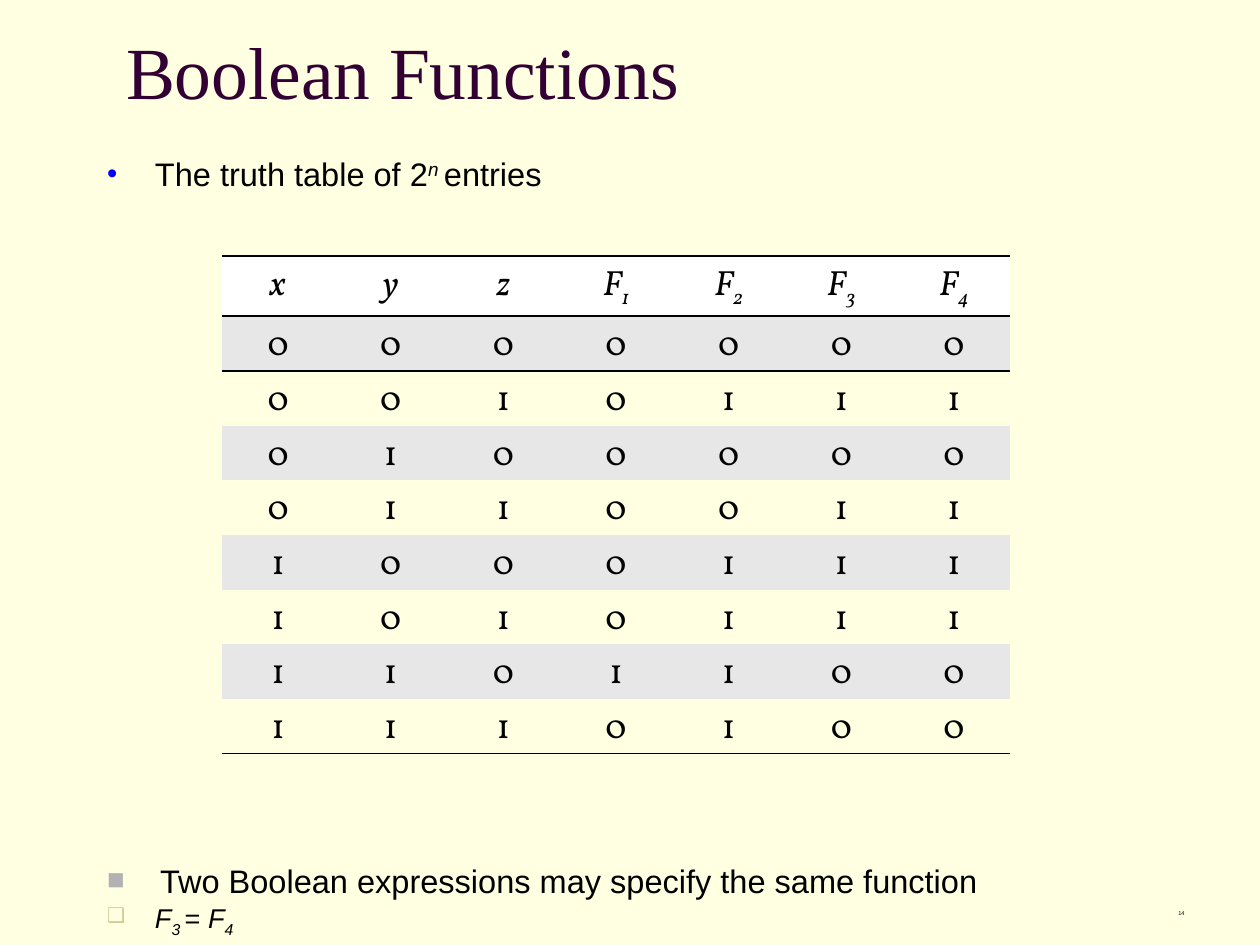
from lxml.etree import SubElement
from pptx import Presentation
from pptx.dml.color import RGBColor
from pptx.enum.text import MSO_ANCHOR, MSO_AUTO_SIZE, PP_ALIGN
from pptx.oxml.ns import qn
from pptx.util import Inches, Pt

BACKGROUND = "FFFFE1"
BLACK = "000000"
HEADERS = ["x", "y", "z", "F1", "F2", "F3", "F4"]
TRUTH_ROWS = ["0000000", "0010111", "0100000", "0110011",
              "1000111", "1010111", "1101100", "1110100"]


def color(value):
    """Turn a hex string into a colour."""
    return RGBColor.from_string(value)


def set_font(font, name, size, value):
    """Set the typeface, point size and colour of a font."""
    font.name = name
    font.size = Pt(size)
    font.color.rgb = color(value)


def add_run(paragraph, text, italic=False, baseline=0):
    """Add a run, raised or lowered by a percentage of its size."""
    run = paragraph.add_run()
    run.text = text
    if italic:
        run.font.italic = True
    if baseline:
        run._r.get_or_add_rPr().set("baseline", str(baseline * 1000))


def place(shape, box):
    """Move a shape to a box given in inches."""
    shape.left, shape.top, shape.width, shape.height = map(Inches, box)


def add_bullet(paragraph, character, value, percent, indent):
    """Give a paragraph a hanging bullet."""
    properties = paragraph._p.get_or_add_pPr()
    properties.set("marL", str(Inches(indent)))
    properties.set("indent", str(-Inches(indent)))
    bullet_color = SubElement(properties, qn("a:buClr"))
    SubElement(bullet_color, qn("a:srgbClr"), val=value)
    SubElement(properties, qn("a:buSzPct"), val=str(percent * 1000))
    SubElement(properties, qn("a:buFont"), typeface="Arial")
    SubElement(properties, qn("a:buChar"), char=character)


def add_title(slide, box):
    """Fill the title placeholder."""
    title = slide.shapes.title
    place(title, box)
    frame = title.text_frame
    frame.margin_left = frame.margin_right = frame.margin_top = frame.margin_bottom = 0
    frame.vertical_anchor = MSO_ANCHOR.MIDDLE
    frame.auto_size = MSO_AUTO_SIZE.NONE
    frame.text = "Boolean Functions"
    paragraph = frame.paragraphs[0]
    paragraph.alignment = PP_ALIGN.LEFT
    set_font(paragraph.font, "Times New Roman", 42, "330033")


def add_body(slide, box):
    """Fill the body placeholder with the points above and below the table."""
    body = slide.placeholders[1]
    place(body, box)
    frame = body.text_frame
    frame.auto_size = MSO_AUTO_SIZE.NONE
    points = [
        (1, 0, 1.0, 18.6, ("•", "0000FF", 90, 0.38),
         [("The truth table of 2",), ("n ", True, 30), ("entries",)]),
        (0, 388, 0.7, 18.6, ("■", "B2B2B2", 90, 0.42),
         [("Two Boolean expressions may specify the same function",)]),
        (1, 5, 0.7, 15.5, ("❑", "CCCC99", 75, 0.38),
         [("F", True), ("3 ", True, -25), ("= ",), ("F", True), ("4", True, -25)]),
    ]
    for index, (level, before, spacing, size, bullet, runs) in enumerate(points):
        paragraph = frame.add_paragraph() if index else frame.paragraphs[0]
        paragraph.level = level
        paragraph.space_before = Pt(before)
        paragraph.line_spacing = spacing
        add_bullet(paragraph, *bullet)
        set_font(paragraph.font, "Arial", size, BLACK)
        for run in runs:
            add_run(paragraph, *run)


def add_border(cell, side):
    """Draw a thin black line on one side of a cell."""
    line = SubElement(cell._tc.get_or_add_tcPr(), qn(f"a:ln{side}"), w=str(Pt(0.96)))
    fill = SubElement(line, qn("a:solidFill"))
    SubElement(fill, qn("a:srgbClr"), val=BLACK)


def fill_cell(cell, text, fill, borders, italic):
    """Write one table cell, with any second character as a subscript."""
    for side in borders:
        add_border(cell, side)
    cell.fill.solid()
    cell.fill.fore_color.rgb = color(fill)
    paragraph = cell.text_frame.paragraphs[0]
    paragraph.alignment = PP_ALIGN.CENTER
    set_font(paragraph.font, "Vollkorn", 20, BLACK)
    add_run(paragraph, text[0], italic)
    if text[1:]:
        add_run(paragraph, text[1:], italic, -25)


def add_truth_table(slide, box):
    """Build the truth table with shaded alternate rows."""
    rows = [HEADERS, *TRUTH_ROWS]
    frame = slide.shapes.add_table(len(rows), len(HEADERS), *map(Inches, box))
    table = frame.table
    table.first_row = table.horz_banding = False
    style = table._tbl.tblPr.find(qn("a:tableStyleId"))
    style.text = "{2D5ABB26-0587-4C30-8999-92F81FD0307C}"
    borders = {0: "TB", 1: "T", len(rows) - 1: "B"}
    for row_index, values in enumerate(rows):
        header = row_index == 0
        table.rows[row_index].height = Inches(0.48 if header else 0.43)
        fill = "FFFFFF" if header else "E7E7E7" if row_index % 2 else BACKGROUND
        for column_index, value in enumerate(values):
            fill_cell(table.cell(row_index, column_index), value, fill,
                      borders.get(row_index, ""), header)


def add_slide_number(slide, box):
    """Add the small slide number."""
    frame = slide.shapes.add_textbox(*map(Inches, box)).text_frame
    frame.word_wrap = True
    frame.text = "14"
    paragraph = frame.paragraphs[0]
    paragraph.alignment = PP_ALIGN.RIGHT
    set_font(paragraph.font, "Arial", 3.2, BLACK)


def main():
    """Build and save the slide."""
    presentation = Presentation()
    presentation.slide_width = Inches(10)
    presentation.slide_height = Inches(7.5)
    slide = presentation.slides.add_slide(presentation.slide_layouts[1])
    slide.background.fill.solid()
    slide.background.fill.fore_color.rgb = color(BACKGROUND)
    add_slide_number(slide, (7.42, 7.17, 2.08, 0.17))
    add_title(slide, (1, 0.17, 8.5, 0.78))
    add_body(slide, (0.75, 1.17, 8.83, 5.67))
    add_truth_table(slide, (1.76, 2.03, 6.26, 3.9))
    presentation.save("out.pptx")


if __name__ == "__main__":
    main()
